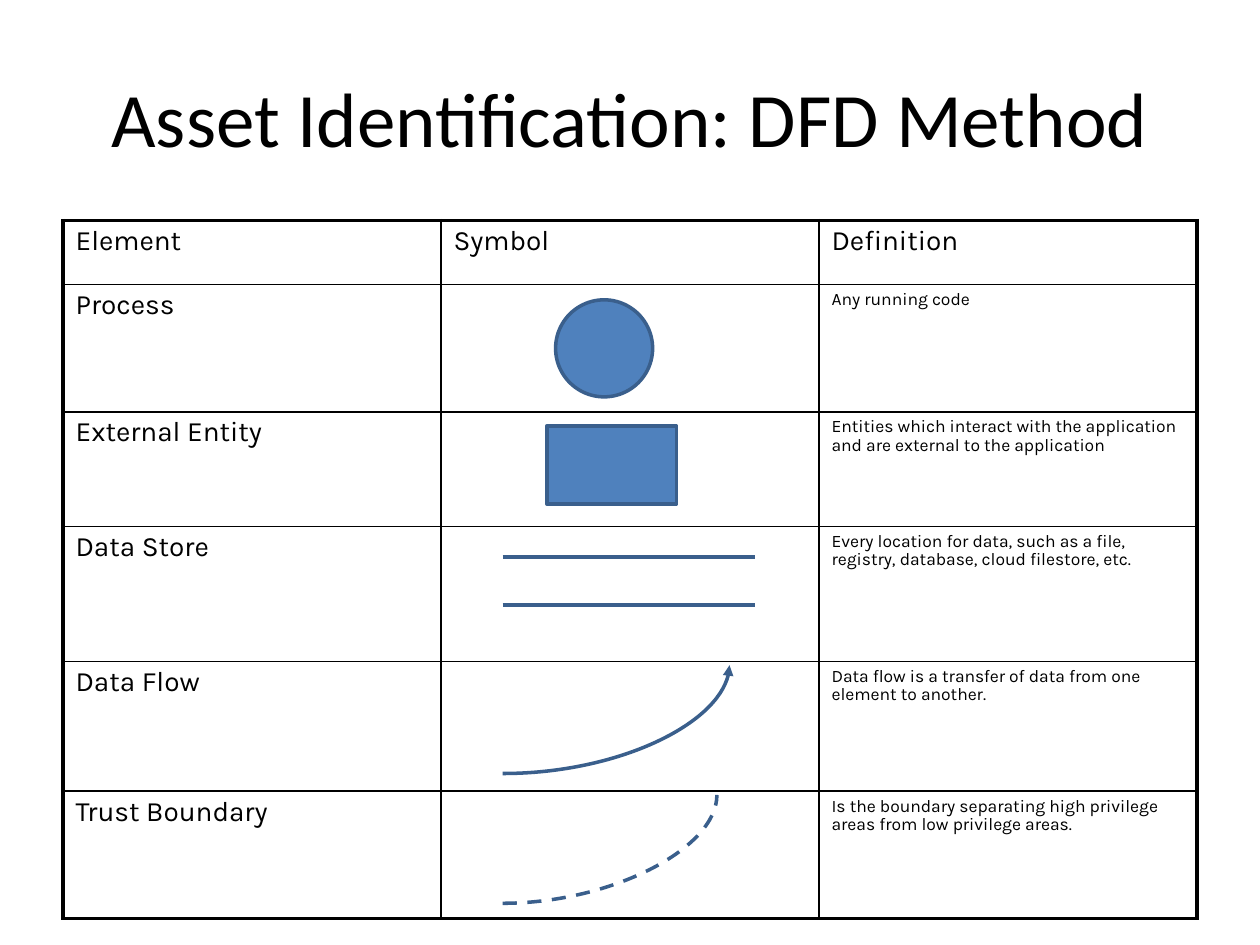
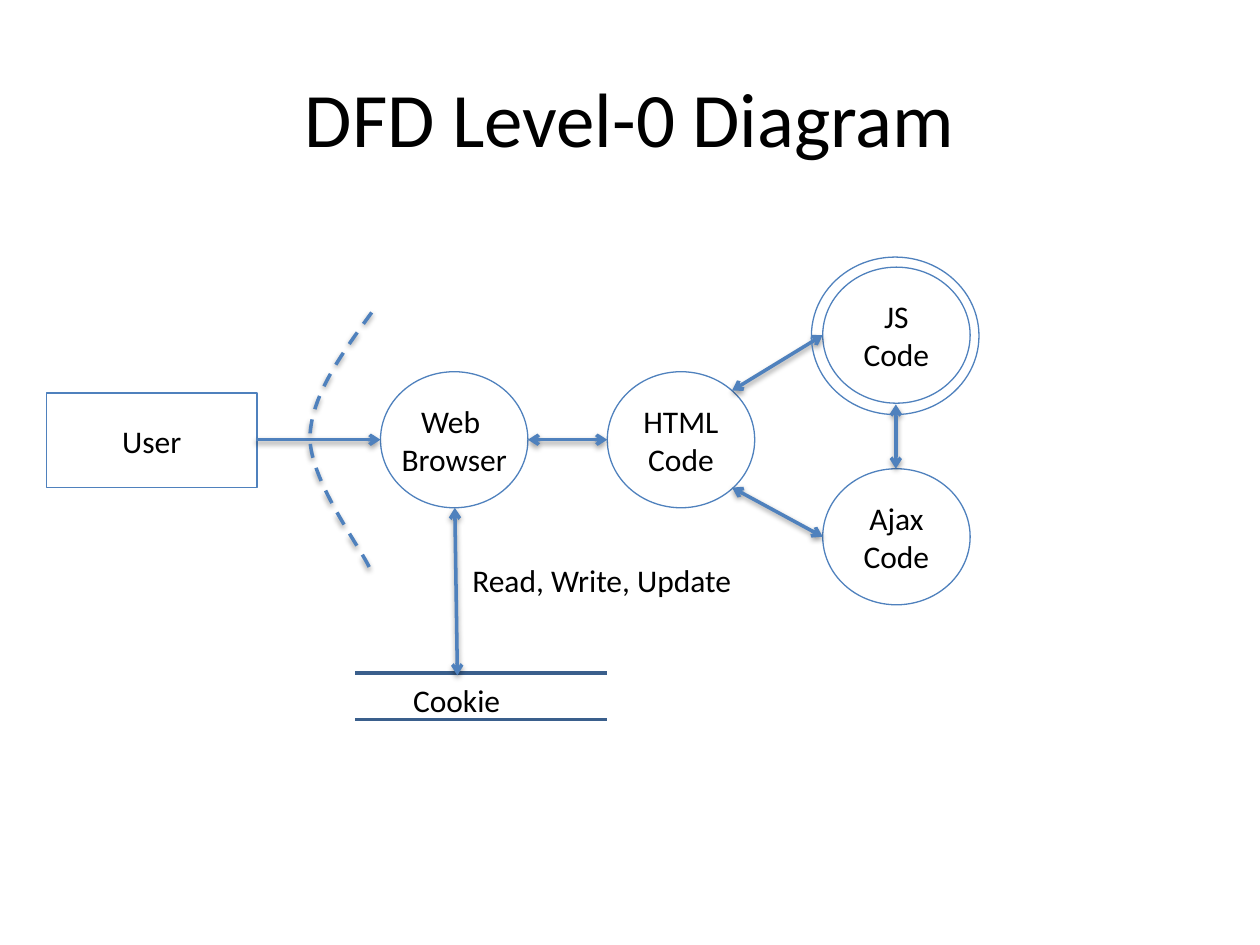
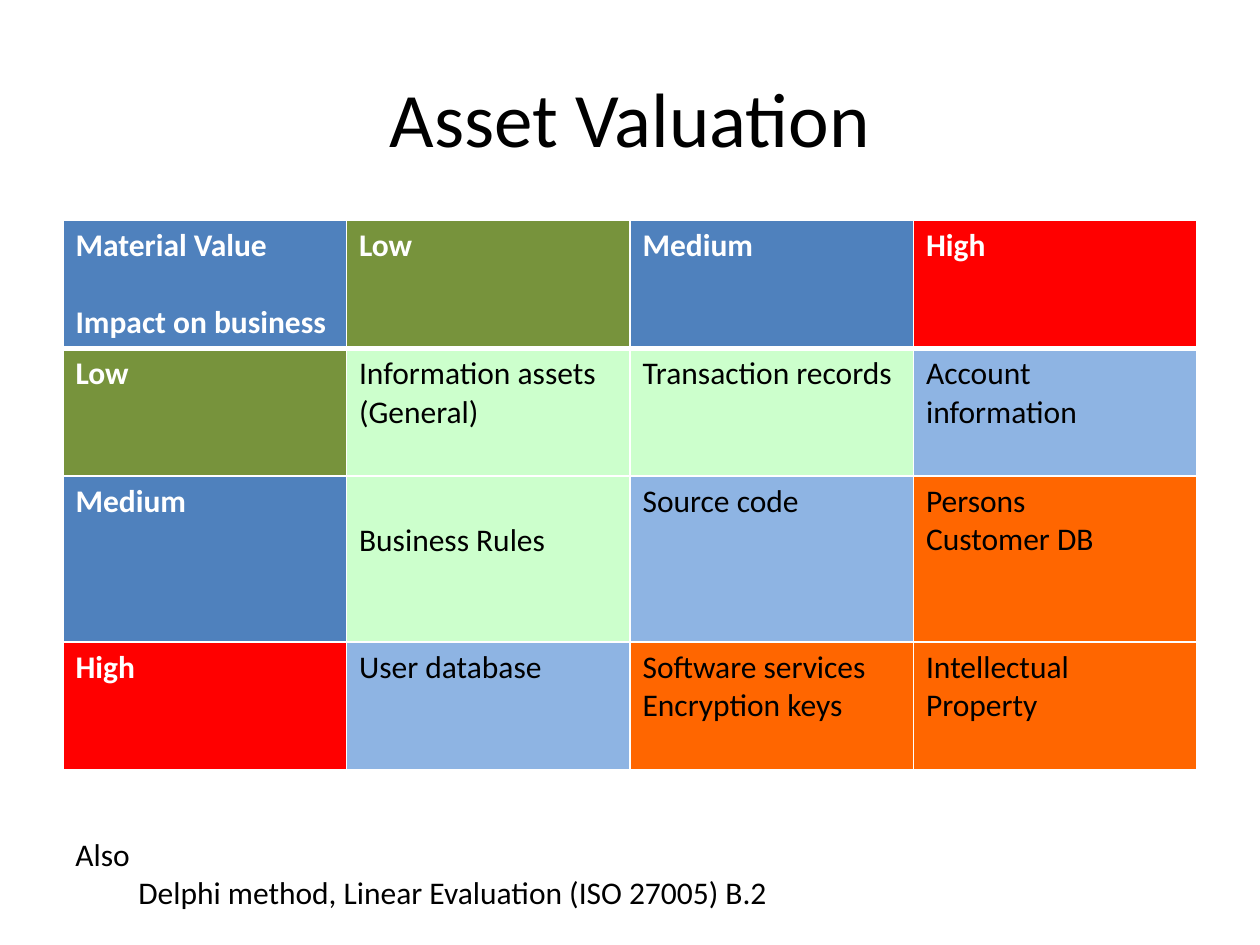
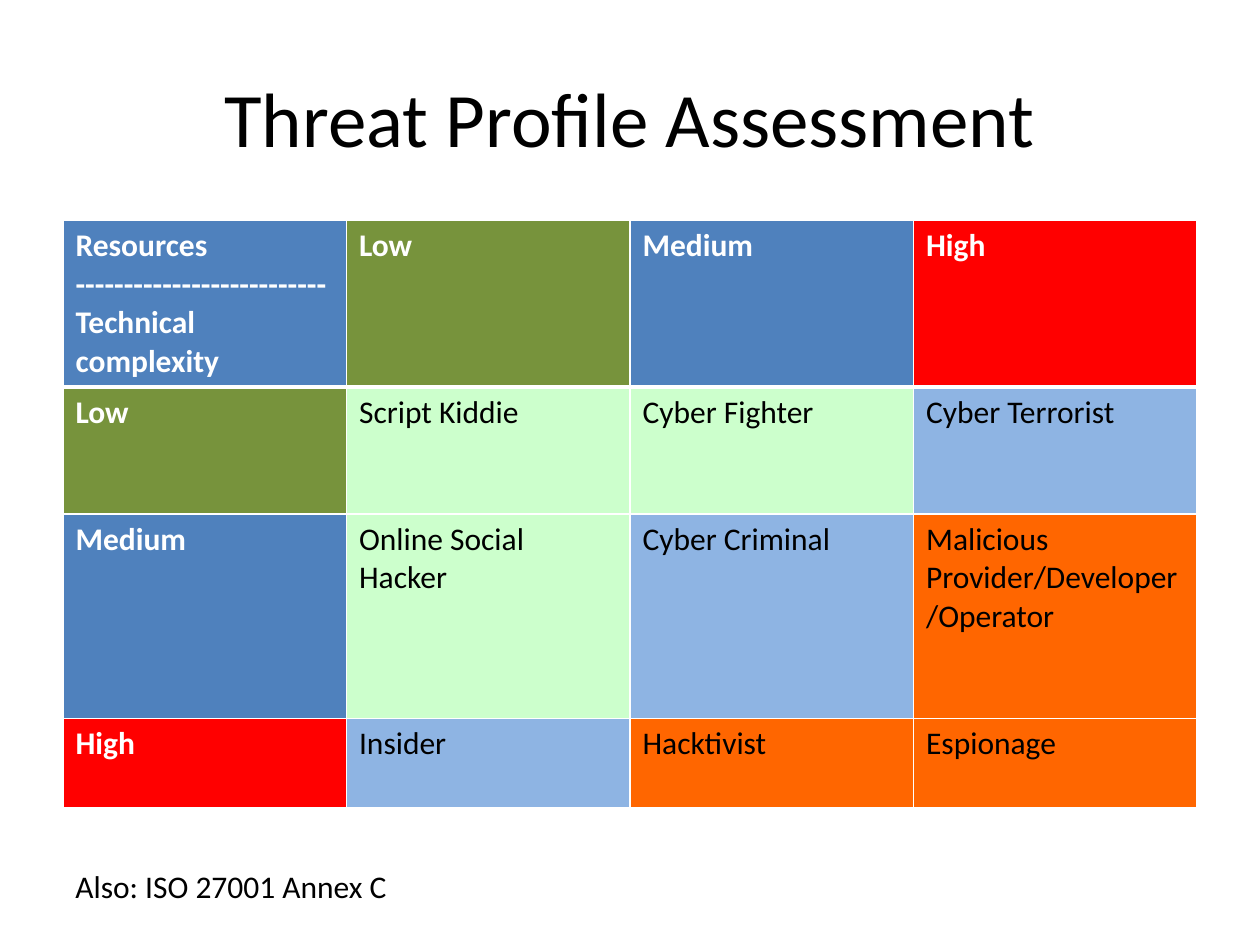
"""Builds four slides on data flow diagrams, asset valuation and threat profiles."""
from dataclasses import dataclass

from lxml import etree
from pptx import Presentation
from pptx.dml.color import RGBColor
from pptx.enum.dml import MSO_LINE
from pptx.enum.shapes import MSO_CONNECTOR, MSO_SHAPE
from pptx.enum.text import MSO_ANCHOR, MSO_AUTO_SIZE, PP_ALIGN
from pptx.oxml.ns import qn
from pptx.util import Inches, Pt

CENTER = PP_ALIGN.CENTER
MIDDLE = MSO_ANCHOR.MIDDLE
GROW = MSO_AUTO_SIZE.SHAPE_TO_FIT_TEXT
DASH = MSO_LINE.DASH
STRAIGHT, CURVE = MSO_CONNECTOR.STRAIGHT, MSO_CONNECTOR.CURVE
OVAL, RECT = MSO_SHAPE.OVAL, MSO_SHAPE.RECTANGLE
NODE, BOX = MSO_SHAPE.FLOWCHART_CONNECTOR, MSO_SHAPE.FLOWCHART_PROCESS


@dataclass(frozen=True)
class Theme:
    font: str = "Calibri"
    table_font: str = "Karla"
    black: str = "000000"
    white: str = "FFFFFF"
    blue: str = "4F81BD"
    navy: str = "3A5F8C"
    olive: str = "77933C"
    red: str = "FF0000"
    mint: str = "CCFFCC"
    sky: str = "8EB4E3"
    orange: str = "FF6600"
    title: float = 44
    body: float = 18
    element: float = 16
    definition: float = 10
    thin: float = 0.75
    line: float = 2
    grid: float = 1
    frame: float = 2.25
    header_rule: float = 3


class Deck:
    def __init__(self, theme):
        self.theme = theme
        self.prs = Presentation()
        self.prs.slide_width, self.prs.slide_height = Inches(10), Inches(7.5)
        self.shapes = None

    def slide(self, title):
        self.shapes = self.prs.slides.add_slide(self.prs.slide_layouts[5]).shapes
        sp = self.shapes.title
        sp.left, sp.top, sp.width, sp.height = map(Inches, (0.5, 0.3, 9, 1.25))
        sp.text_frame.text = title
        sp.text_frame.vertical_anchor = MIDDLE
        self.format(sp.text_frame, self.theme.title, align=CENTER)

    def format(self, tf, size, color=None, bold=False, font=None, align=None):
        for p in tf.paragraphs:
            p.alignment = align
            for r in p.runs:
                r.font.name = font or self.theme.font
                r.font.size = Pt(size)
                r.font.bold = bold
                r.font.color.rgb = RGBColor.from_string(color or self.theme.black)

    def stroke(self, sp, color, width, dash=False, arrows=(), shadow=False):
        sp.line.color.rgb = RGBColor.from_string(color)
        sp.line.width = Pt(width)
        if dash:
            sp.line.dash_style = DASH
        sp_pr = sp._element.spPr
        for end in arrows:
            etree.SubElement(sp_pr.find(qn("a:ln")), qn(f"a:{end}End"), type="arrow")
        effects = sp_pr.find(qn("a:effectLst"))
        if effects is None:
            effects = etree.SubElement(sp_pr, qn("a:effectLst"))
        if shadow:
            outer = etree.SubElement(effects, qn("a:outerShdw"), blurRad="40000",
                                     dist="20000", dir="5400000", rotWithShape="0")
            clr = etree.SubElement(outer, qn("a:srgbClr"), val=self.theme.black)
            etree.SubElement(clr, qn("a:alpha"), val="38000")

    def shape(self, kind, at, line, width, fill=None, text=""):
        sp = self.shapes.add_shape(kind, *map(Inches, at))
        sp.shadow.inherit = False
        if fill:
            sp.fill.solid()
            sp.fill.fore_color.rgb = RGBColor.from_string(fill)
        else:
            sp.fill.background()
        self.stroke(sp, line, width)
        if text:
            tf = sp.text_frame
            tf.text = text
            tf.word_wrap = False
            tf.vertical_anchor = MIDDLE
            self.format(tf, self.theme.body, align=CENTER)

    def line(self, ends, color, kind=STRAIGHT, **style):
        cxn = self.shapes.add_connector(kind, *map(Inches, ends))
        if kind == CURVE:
            cxn._element.spPr.find(qn("a:prstGeom")).set("prst", "curvedConnector2")
        self.stroke(cxn, color, self.theme.line, **style)
        return cxn

    def store(self, left, top, gap):
        for y in (top, top + gap):
            self.line((left, y, left + 2, y), self.theme.navy)

    def bezier(self, points, color, **style):
        start, *rest = [(Inches(x), Inches(y)) for x, y in points]
        builder = self.shapes.build_freeform(*start)
        builder.add_line_segments(rest, close=False)
        sp = builder.convert_to_shape()
        path = next(sp._element.iter(qn("a:path")))
        segments = path.findall(qn("a:lnTo"))
        for i in range(0, len(segments), 3):
            curve = etree.SubElement(path, qn("a:cubicBezTo"))
            for segment in segments[i:i + 3]:
                curve.append(segment[0])
                path.remove(segment)
        sp.shadow.inherit = False
        sp.fill.background()
        self.stroke(sp, color, self.theme.line, **style)

    def text(self, at, text):
        tf = self.shapes.add_textbox(*map(Inches, at)).text_frame
        tf.text = text
        tf.word_wrap = False
        tf.auto_size = GROW
        self.format(tf, self.theme.body)
        return tf

    def table(self, rows, heights):
        n_cols = len(rows[0])
        at = map(Inches, (0.5, 1.75, 9, sum(heights)))
        tbl = self.shapes.add_table(len(rows), n_cols, *at).table
        tbl.first_row = tbl.horz_banding = False
        for row, height in zip(tbl.rows, heights):
            row.height = Inches(height)
        for col in tbl.columns:
            col.width = Inches(9 / n_cols)
        for i, row in enumerate(rows):
            for j, text in enumerate(row):
                tbl.cell(i, j).text_frame.text = text
        return tbl

    def cell_style(self, cell, color, widths, fill=None):
        tc_pr = cell._tc.get_or_add_tcPr()
        for side, width in zip("LRTB", widths):
            ln = etree.SubElement(tc_pr, qn(f"a:ln{side}"), w=str(Pt(width)))
            solid = etree.SubElement(ln, qn("a:solidFill"))
            etree.SubElement(solid, qn("a:srgbClr"), val=color)
        if fill:
            cell.fill.solid()
            cell.fill.fore_color.rgb = RGBColor.from_string(fill)
        else:
            cell.fill.background()

    def definitions(self, rows, heights):
        t = self.theme
        tbl = self.table(rows, heights)
        last_row, last_col = len(rows) - 1, len(rows[0]) - 1
        for i in range(last_row + 1):
            for j in range(last_col + 1):
                cell = tbl.cell(i, j)
                outer = (j == 0, j == last_col, i == 0, i == last_row)
                self.cell_style(cell, t.black, [t.frame if o else t.grid for o in outer])
                size = t.definition if i and j == last_col else t.element
                self.format(cell.text_frame, size, font=t.table_font)
                cell.text_frame.paragraphs[0].line_spacing = 0.9

    def matrix(self, corner, rows, heights):
        t = self.theme
        levels = ("Low", "Medium", "High")
        level_fills = (t.blue, t.olive, t.blue, t.red)
        risk_fills = (t.mint, t.mint, t.sky, t.orange, t.orange)
        body = [(level, *row) for level, row in zip(levels, rows)]
        tbl = self.table([(corner, *levels), *body], heights)
        for i in range(4):
            for j in range(4):
                cell = tbl.cell(i, j)
                head = i == 0 or j == 0
                fill = level_fills[i + j] if head else risk_fills[i + j - 2]
                top = t.header_rule if i == 1 else t.grid
                bottom = t.header_rule if i == 0 else t.grid
                self.cell_style(cell, t.white, (t.grid, t.grid, top, bottom), fill)
                self.format(cell.text_frame, t.body, t.white if head else t.black, head)
        return tbl


def add_method(deck):
    t = deck.theme
    deck.slide("Asset Identification: DFD Method")
    deck.definitions([
        ("Element", "Symbol", "Definition"),
        ("Process", "", "Any running code"),
        ("External Entity", "", "Entities which interact with the application "
                                "and are external to the application"),
        ("Data Store", "", "Every location for data, such as a file, registry, "
                           "database, cloud filestore, etc."),
        ("Data Flow", "", "Data flow is a transfer of data from one element to another."),
        ("Trust Boundary", "", "Is the boundary separating high privilege areas "
                               "from low privilege areas."),
    ], (0.51, 1.01, 0.91, 1.07, 1.03, 1.01))
    deck.shape(OVAL, (4.41, 2.38, 0.77, 0.77), t.navy, t.line, t.blue)
    deck.shape(RECT, (4.34, 3.38, 1.03, 0.62), t.navy, t.line, t.blue)
    deck.store(3.99, 4.42, 0.38)
    flow = deck.line((3.99, 6.14, 5.79, 5.28), t.navy, CURVE, arrows=("tail",))
    flow._element.spPr.find(qn("a:ln")).find(qn("a:tailEnd")).set("type", "triangle")
    deck.line((3.99, 7.17, 5.69, 6.31), t.navy, CURVE, dash=True)


def add_diagram(deck):
    t = deck.theme
    deck.slide("DFD Level-0 Diagram")
    nodes = ((6.53, 2.12, "JS\nCode"), (6.53, 3.72, "Ajax\nCode"),
             (4.82, 2.95, "HTML\nCode"), (3.02, 2.95, "Web \nBrowser"))
    for x, y, label in nodes:
        deck.shape(NODE, (x, y, 1.17, 1.08), t.blue, t.thin, text=label)
    deck.shape(BOX, (0.37, 3.12, 1.67, 0.75), t.blue, t.thin, text="User")
    deck.store(2.82, 5.34, 0.37)
    deck.text((3.18, 5.36, 0.9, 0.4), "Cookie")
    deck.text((3.65, 4.4, 2.3, 0.4), "Read, Write, Update")
    two_way = ((5.81, 3.1, 6.53, 2.66), (5.81, 3.87, 6.53, 4.26),
               (7.11, 3.72, 7.11, 3.21), (4.19, 3.49, 4.82, 3.49),
               (3.61, 4.03, 3.63, 5.36))
    for ends in two_way:
        deck.line(ends, t.blue, arrows=("head", "tail"), shadow=True)
    deck.line((2.03, 3.49, 3.02, 3.49), t.blue, arrows=("tail",), shadow=True)
    boundary = ((2.95, 2.48), (2.71, 2.81), (2.47, 3.14), (2.46, 3.47),
                (2.46, 3.81), (2.85, 4.33), (2.93, 4.5))
    deck.bezier(boundary, t.blue, dash=True, shadow=True)
    deck.shape(NODE, (6.44, 2.04, 1.33, 1.25), t.blue, t.thin)


def add_valuation(deck):
    deck.slide("Asset Valuation")
    tbl = deck.matrix("Material Value\nImpact on business", [
        ("Information assets\v(General)", "Transaction records", "Account information"),
        ("Business Rules", "Source code", "Persons\vCustomer DB"),
        ("User database", "Software services\nEncryption keys", "Intellectual Property"),
    ], (1.01, 1.01, 1.32, 1.01))
    tbl.cell(0, 0).text_frame.paragraphs[1].space_before = Pt(22)
    tbl.cell(2, 1).margin_top = Inches(0.36)
    tf = deck.text((0.5, 6.58, 5.76, 0.71),
                   "Also\nDelphi method, Linear Evaluation (ISO 27005) B.2")
    tf.paragraphs[1]._p.get_or_add_pPr().set("marL", str(Inches(0.5)))


def add_threats(deck):
    deck.slide("Threat Profile Assessment")
    deck.matrix("Resources\n--------------------------\nTechnical complexity", [
        ("Script Kiddie", "Cyber Fighter", "Cyber Terrorist"),
        ("Online Social Hacker", "Cyber Criminal", "Malicious Provider/Developer/Operator"),
        ("Insider", "Hacktivist", "Espionage"),
    ], (1.32, 1.01, 1.62, 0.71))
    deck.text((0.5, 6.83, 2.71, 0.4), "Also: ISO 27001 Annex C")


def main():
    deck = Deck(Theme())
    for add in (add_method, add_diagram, add_valuation, add_threats):
        add(deck)
    deck.prs.save("out.pptx")


if __name__ == "__main__":
    main()
